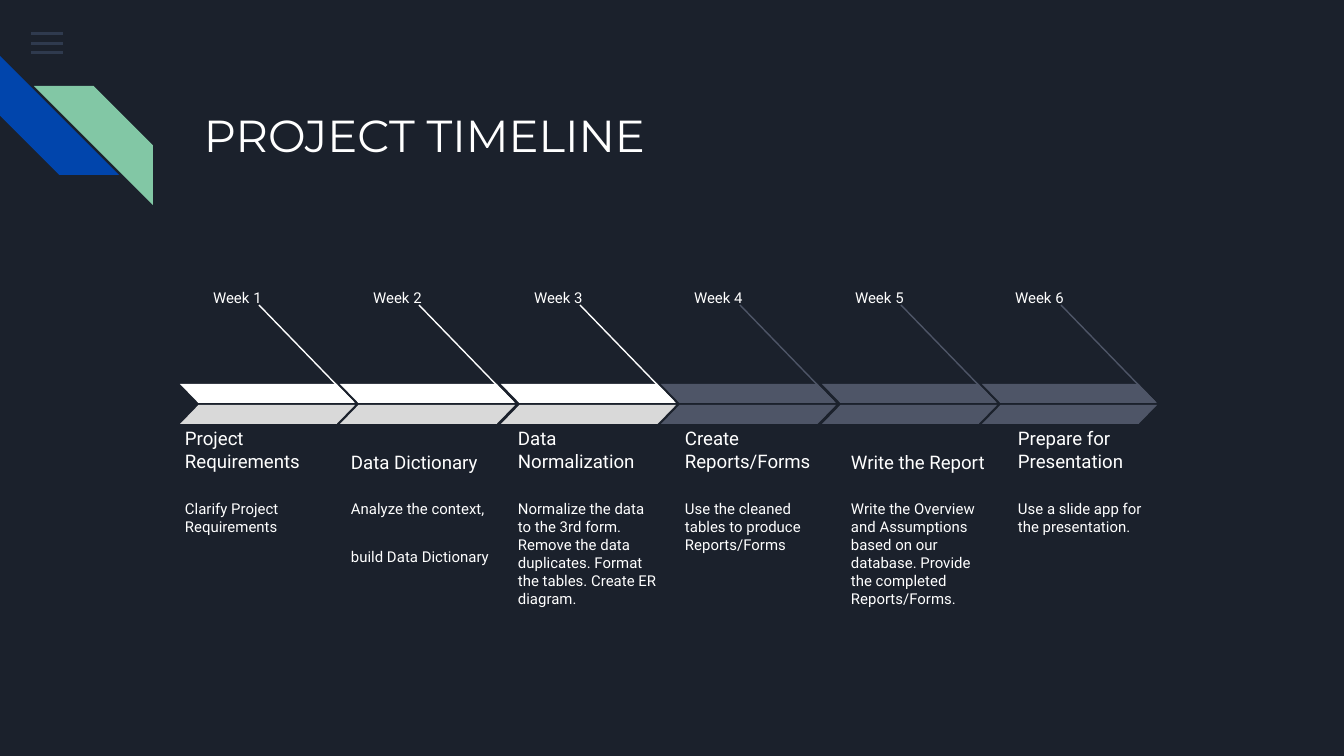
from lxml import etree
from pptx import Presentation
from pptx.dml.color import RGBColor
from pptx.enum.shapes import MSO_CONNECTOR, MSO_SHAPE
from pptx.enum.text import MSO_ANCHOR
from pptx.oxml.ns import qn
from pptx.util import Pt

EMU_PER_PX = 914400 / 134.4
BACKGROUND = RGBColor(0x1B, 0x21, 0x2C)
MENU_BLUE = RGBColor(0x55, 0x68, 0x8B)
BLUE = RGBColor(0x01, 0x45, 0xAC)
GREEN = RGBColor(0x82, 0xC7, 0xA5)
WHITE = RGBColor(0xFF, 0xFF, 0xFF)
LIGHT_GREY = RGBColor(0xD9, 0xD9, 0xD9)
SLATE = RGBColor(0x4E, 0x55, 0x67)

RECTANGLE = MSO_SHAPE.RECTANGLE
STRIPE = MSO_SHAPE.DIAGONAL_STRIPE
PARALLELOGRAM = MSO_SHAPE.PARALLELOGRAM
STRAIGHT = MSO_CONNECTOR.STRAIGHT
TOP, BOTTOM = MSO_ANCHOR.TOP, MSO_ANCHOR.BOTTOM

# Heading, description paragraphs, description height
WEEKS = [
    ("Project Requirements", ["Clarify Project Requirements"], 98),
    ("Data Dictionary", ["Analyze the context,", "build Data Dictionary"], 98),
    ("Data Normalization",
     ["Normalize the data to the 3rd form. Remove the data duplicates. "
      "Format the tables. Create ER diagram."], 125),
    ("Create Reports/Forms",
     ["Use the cleaned tables to produce Reports/Forms"], 98),
    ("Write the Report",
     ["Write the Overview and Assumptions based on our database. "
      "Provide the completed Reports/Forms."], 134),
    ("Prepare for Presentation", ["Use a slide app for the presentation."], 98),
]
WEEKS_DONE = 3


def px(value):
    return round(value * EMU_PER_PX)


def write_text(text_frame, paragraphs, size=8, font="Roboto", color=WHITE,
               anchor=TOP, gap=0):
    text_frame.word_wrap = True
    text_frame.vertical_anchor = anchor
    text_frame.margin_left = text_frame.margin_right = px(13)
    text_frame.margin_top = text_frame.margin_bottom = px(13)
    for index, text in enumerate(paragraphs):
        paragraph = text_frame.paragraphs[0] if index == 0 else text_frame.add_paragraph()
        if index:
            paragraph.space_before = Pt(gap)
        run = paragraph.add_run()
        run.text = text
        run.font.size = Pt(size)
        run.font.name = font
        run.font.color.rgb = color


class SlideBuilder:
    def __init__(self, presentation):
        self.slide = presentation.slides.add_slide(presentation.slide_layouts[6])
        fill = self.slide.background.fill
        fill.solid()
        fill.fore_color.rgb = BACKGROUND

    def shape(self, kind, left, top, width, height, color, adjust=None,
              flip=False, rotation=0, opacity=None):
        shape = self.slide.shapes.add_shape(
            kind, px(left), px(top), px(width), px(height))
        shape.shadow.inherit = False
        shape.fill.solid()
        shape.fill.fore_color.rgb = color
        shape.line.fill.background()
        shape.rotation = rotation
        if adjust is not None:
            shape.adjustments[0] = adjust
        if flip:
            shape._element.spPr.find(qn("a:xfrm")).set("flipH", "1")
        if opacity is not None:
            color_element = shape._element.spPr.find(qn("a:solidFill"))[0]
            alpha = etree.SubElement(color_element, qn("a:alpha"))
            alpha.set("val", str(opacity * 1000))

    def line(self, left, top, right, bottom, color):
        connector = self.slide.shapes.add_connector(
            STRAIGHT, px(left), px(top), px(right), px(bottom))
        connector.line.color.rgb = color
        connector.line.width = Pt(0.75)
        etree.SubElement(connector._element.spPr, qn("a:effectLst"))

    def text(self, left, top, width, height, paragraphs, **style):
        box = self.slide.shapes.add_textbox(
            px(left), px(top), px(width), px(height))
        write_text(box.text_frame, paragraphs, **style)


def main():
    presentation = Presentation()
    presentation.slide_width = px(1344)
    presentation.slide_height = px(756)
    builder = SlideBuilder(presentation)

    # Menu icon and corner stripes
    for top in (32, 42, 51):
        builder.shape(RECTANGLE, 31, top, 32, 3, MENU_BLUE, opacity=36)
    builder.shape(STRIPE, 0, 56, 119, 119, BLUE, adjust=0.5, rotation=270)
    builder.shape(STRIPE, 34, 86, 119, 119, GREEN, adjust=0.5, flip=True)

    # Title
    builder.text(191, 95, 1035, 97, ["PROJECT TIMELINE"], size=24, font="Montserrat")

    # Week labels, headings and descriptions
    for index, (heading, description, height) in enumerate(WEEKS):
        offset = 321 * index // 2
        column = 172 + 500 * index // 3
        builder.text(200 + offset, 280, 79, 31, [f"Week {index + 1}"])
        builder.text(column, 426, 167, 59, [heading], size=10, anchor=BOTTOM)
        builder.text(column, 487, 167, height, description, gap=16)

    # Arrow bands with their leader lines
    for index in range(len(WEEKS)):
        offset = 321 * index // 2
        done = index < WEEKS_DONE
        upper, lower = (WHITE, LIGHT_GREY) if done else (SLATE, SLATE)
        builder.line(259 + offset, 305, 353 + offset, 402, upper)
        builder.shape(PARALLELOGRAM, 180 + offset, 384, 175, 19, upper,
                      adjust=0.97, flip=True)
        builder.shape(PARALLELOGRAM, 180 + offset, 405, 175, 19, lower, adjust=0.97)

    presentation.save("out.pptx")


if __name__ == "__main__":
    main()
